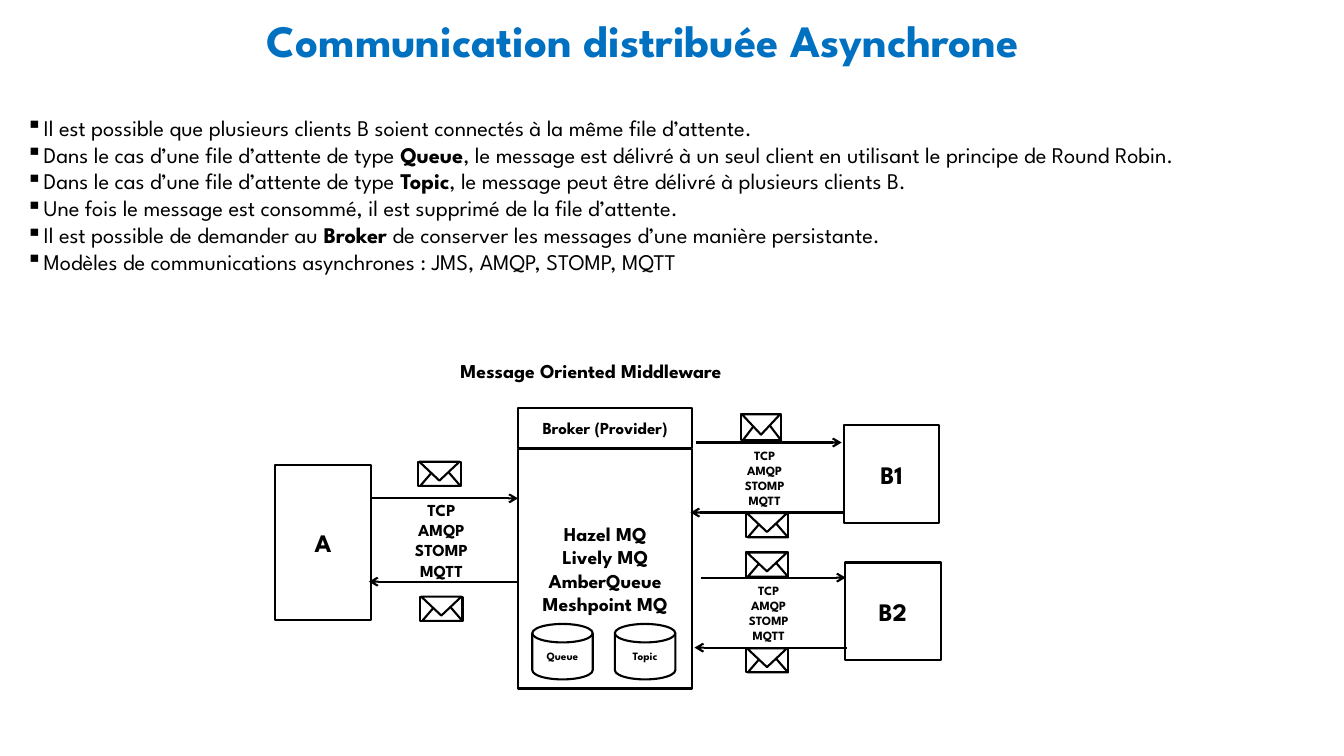
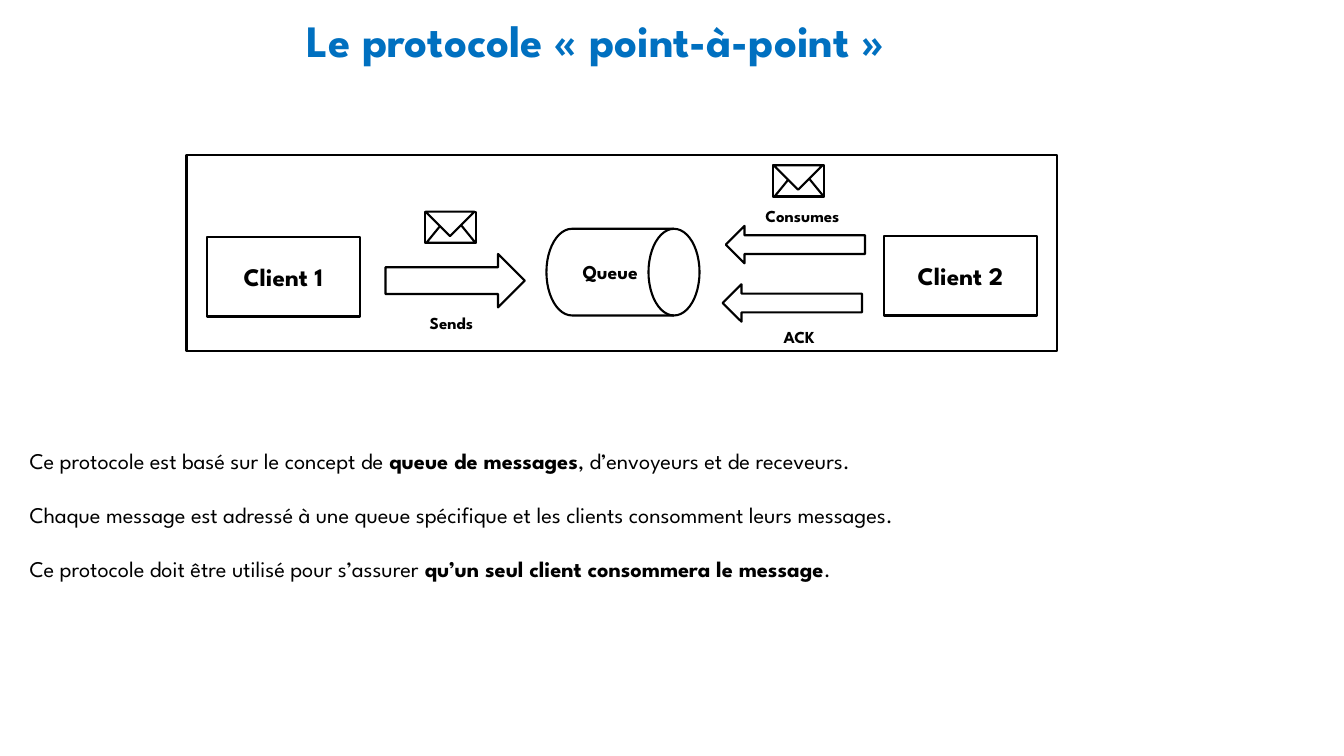
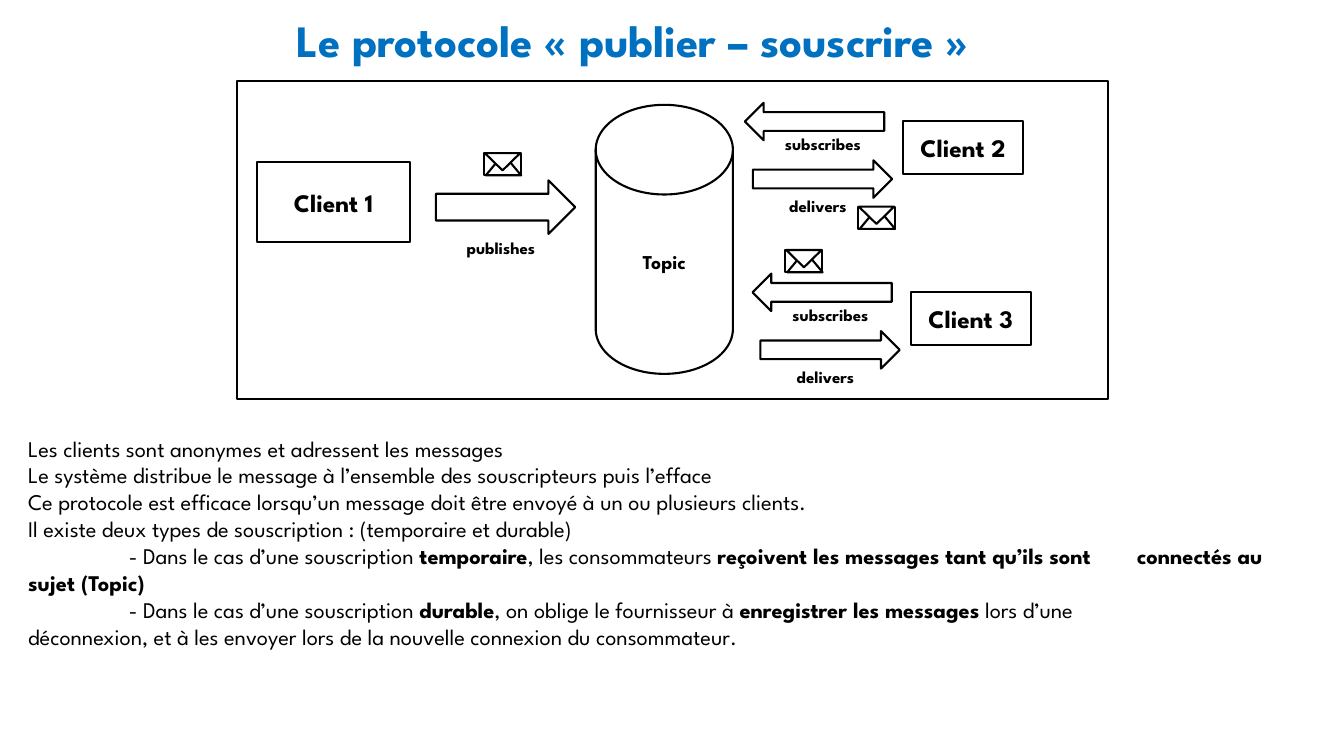
from lxml.etree import SubElement
from pptx import Presentation
from pptx.dml.color import RGBColor
from pptx.enum.shapes import MSO_CONNECTOR, MSO_SHAPE
from pptx.enum.text import MSO_ANCHOR, PP_ALIGN
from pptx.oxml.ns import qn
from pptx.util import Pt

BLACK = RGBColor(0, 0, 0)
WHITE = RGBColor(255, 255, 255)
BLUE = RGBColor(0, 112, 192)

FONT = "League Spartan"
LINE = Pt(1.5)
TITLE = {"size": Pt(32), "bold": True}
BODY = {"size": Pt(16), "bold": False}
WIRE = ["TCP", "AMQP", "STOMP", "MQTT"]


def bold(size):
    return {"size": Pt(size), "bold": True}


def write(para, text, form, color=BLACK):
    """Fill a paragraph; ** toggles bold and a newline breaks the line."""
    for part, chunk in enumerate(text.split("**")):
        for row, piece in enumerate(chunk.split("\n")):
            if row:
                para.add_line_break()
            if not piece:
                continue
            run = para.add_run()
            run.text = piece
            values = {"name": FONT, **form}
            values["bold"] = form["bold"] or part % 2 == 1
            for key, value in values.items():
                setattr(run.font, key, value)
            run.font.color.rgb = color


def fill_frame(frame, lines, form, color=BLACK, align=None):
    for pos, line in enumerate(lines):
        para = frame.add_paragraph() if pos else frame.paragraphs[0]
        para.alignment = align
        write(para, line, form, color)


def add_text(shapes, left, top, width, lines, form, color=BLACK, align=None, wrap=True):
    """Add a text box as high as its lines need."""
    height = 7 + len(lines) * form["size"].pt * 1.2
    box = shapes.add_textbox(Pt(left), Pt(top), Pt(width), Pt(height))
    box.text_frame.word_wrap = wrap
    fill_frame(box.text_frame, lines, form, color, align)
    return box.text_frame.paragraphs


def label(shapes, left, top, width, lines, size=12):
    add_text(shapes, left, top, width, lines, bold(size), align=PP_ALIGN.CENTER, wrap=False)


def indent(para, margin, first):
    props = para._p.get_or_add_pPr()
    props.set("marL", str(Pt(margin)))
    props.set("indent", str(Pt(first)))
    return props


def shape(shapes, kind, left, top, width, height, lines=(), size=18, turn=0, fill=None):
    item = shapes.add_shape(kind, Pt(left), Pt(top), Pt(width), Pt(height))
    item.shadow.inherit = False
    item.rotation = turn
    if fill is None:
        item.fill.background()
    else:
        item.fill.solid()
        item.fill.fore_color.rgb = fill
    item.line.color.rgb = BLACK
    item.line.width = LINE
    item.text_frame.vertical_anchor = MSO_ANCHOR.MIDDLE
    fill_frame(item.text_frame, lines, bold(size), align=PP_ALIGN.CENTER)
    return item


def box(shapes, left, top, width, height, lines, size=18):
    return shape(shapes, MSO_SHAPE.RECTANGLE, left, top, width, height, lines, size)


def frame(shapes, left, top, width, height):
    shape(shapes, MSO_SHAPE.FLOWCHART_PROCESS, left, top, width, height)


def disk(shapes, left, top, width, height, name, size, turn=0):
    return shape(shapes, MSO_SHAPE.FLOWCHART_MAGNETIC_DISK,
                 left, top, width, height, [name], size, turn)


def block(shapes, left, top, height=26.8, turn=0):
    """Add a block arrow; a turn of 180 points it left."""
    shape(shapes, MSO_SHAPE.RIGHT_ARROW, left, top, 99.5, height, turn=turn)


def letter(shapes, left, top, width, height):
    """Add an envelope: body, lower folds and white flap."""
    parts = shapes.add_group_shape().shapes
    tri = MSO_SHAPE.ISOSCELES_TRIANGLE
    frame(parts, left, top, width, height)
    shape(parts, tri, left + 1.4, top + 0.7, width * 0.95, height * 0.96)
    shape(parts, tri, left + 0.7, top, width * 0.95, height * 0.78, turn=180, fill=WHITE)


def arrow(shapes, start, end, level):
    line = shapes.add_connector(MSO_CONNECTOR.STRAIGHT, Pt(start), Pt(level), Pt(end), Pt(level))
    line.line.color.rgb = BLACK
    line.line.width = LINE
    SubElement(line.line._get_or_add_ln(), qn("a:tailEnd"), type="arrow")
    SubElement(line._element.spPr, qn("a:effectLst"))


def start(deck, left, title):
    """Add a blank slide with its title and return its shapes."""
    shapes = deck.slides.add_slide(deck.slide_layouts[6]).shapes
    add_text(shapes, left, 5.8, 627, [title], TITLE, BLUE)
    return shapes


def broker(deck):
    shapes = start(deck, 183.6, "Communication distribuée Asynchrone")
    paras = add_text(shapes, 11.5, 77.8, 948, [
        "Il est possible que plusieurs clients B soient connectés à la même file d’attente.",
        "Dans le cas d’une file d’attente de type **Queue**, le message est délivré à un seul "
        "client en utilisant le principe de Round Robin.",
        "Dans le cas d’une file d’attente de type **Topic**, le message peut être délivré à "
        "plusieurs clients B.",
        "Une fois le message est consommé, il est supprimé de la file d’attente.",
        "Il est possible de demander au **Broker** de conserver les messages d’une manière "
        "persistante.",
        "Modèles de communications asynchrones : JMS, AMQP, STOMP, MQTT",
    ], BODY)
    for para in paras:
        props = indent(para, 12.6, -12.6)
        SubElement(props, qn("a:buChar"), char="▪")

    add_text(shapes, 321.8, 252.7, 226, ["Message Oriented Middleware"], bold(14))
    box(shapes, 196.6, 331.9, 68.4, 110.9, ["A"])
    box(shapes, 370, 320.4, 124.6, 171.4,
        ["Hazel MQ", "Lively MQ", "AmberQueue", "Meshpoint MQ"], 14)
    box(shapes, 370, 291.6, 124.6, 28.4, ["Broker (Provider)"], 12)
    for left, name in ((380.2, "Queue"), (439.2, "Topic")):
        disk(shapes, left, 445.7, 43.2, 39.6, name, 8)

    arrow(shapes, 265, 370, 356)
    arrow(shapes, 370, 263.5, 415.5)
    label(shapes, 288, 353.5, 54.7, WIRE)
    letter(shapes, 298.8, 329.8, 30.2, 17.3)
    letter(shapes, 300.2, 426.2, 30.2, 17.3)

    for name, right, down, top, mail in (
        ("B1", 0, 0, 303.8, (529.2, 295.9, 28.8, 18.7)),
        ("B2", 2.9, 96.5, 401.8, (532.8, 394.6, 30.2, 17.3)),
    ):
        box(shapes, 602.6 + right / 3, top, 68.4, 69.8, [name])
        arrow(shapes, 497.5 + right, 601.2 + right, 316.1 + down)
        arrow(shapes, 601.9 + right, 493.2 + right, 366.1 + down)
        label(shapes, 524.2 + right, 316.1 + down, 43.9, WIRE, 9)
        letter(shapes, *mail)
        letter(shapes, 532.8, 366.5 + down, 30.2, 17.3)


def point(deck):
    shapes = start(deck, 211.6, "Le protocole « point-à-point »")
    paras = add_text(shapes, 14, 316.1, 934.6, [
        "Ce protocole est basé sur le concept de **queue de messages**, d’envoyeurs et de "
        "receveurs.",
        "Chaque message est adressé à une queue spécifique et les clients consomment leurs "
        "messages.",
        "Ce protocole doit être utilisé pour s’assurer **qu’un seul client consommera le "
        "message**.",
    ], BODY)
    for para in paras:
        para.space_after = Pt(19.3)

    frame(shapes, 133.2, 110.9, 622, 139.7)
    box(shapes, 147.6, 169.2, 109.4, 56.9, ["Client 1"])
    box(shapes, 631.4, 168.5, 109.4, 56.9, ["Client 2"])
    queue = disk(shapes, 414, 139.7, 61.9, 109.4, "Queue", 14, turn=90)
    queue._element.txBody.find(qn("a:bodyPr")).set("vert", "vert270")
    block(shapes, 275.4, 181.4, 38.2)
    block(shapes, 518.4, 161.3, turn=180)
    block(shapes, 516.2, 203, turn=180)
    letter(shapes, 303.3, 151.2, 36.7, 22.3)
    letter(shapes, 552, 118.1, 36.7, 22.3)
    label(shapes, 298, 219.6, 49, ["Sends"])
    label(shapes, 550.8, 229.7, 40.3, ["ACK"])
    label(shapes, 535, 143.3, 76.3, ["Consumes"])


def topic(deck):
    shapes = start(deck, 204.5, "Le protocole « publier – souscrire »")
    paras = add_text(shapes, 13, 306.9, 934.6, [
        "Les clients sont anonymes et adressent les messages",
        "Le système distribue le message à l’ensemble des souscripteurs puis l’efface",
        "Ce protocole est efficace lorsqu’un message doit être envoyé à un ou plusieurs clients.",
        "Il existe deux types de souscription : (temporaire et durable)",
        "- Dans le cas d’une souscription **temporaire**, les consommateurs **reçoivent les "
        "messages tant qu’ils sont\tconnectés au\nsujet (Topic)**",
        "- Dans le cas d’une souscription **durable**, on oblige le fournisseur à **enregistrer "
        "les messages** lors d’une\ndéconnexion, et à les envoyer lors de la nouvelle connexion "
        "du consommateur.",
    ], BODY)
    for para in paras[4:]:
        indent(para, 0, 72)

    frame(shapes, 169.2, 57.6, 622, 227.5)
    box(shapes, 183.6, 115.9, 109.4, 56.9, ["Client 1"])
    disk(shapes, 425.5, 74.9, 98, 192.2, "Topic", 14)
    block(shapes, 311.4, 128.9, 38.2)
    label(shapes, 323.3, 166.3, 69, ["publishes"])
    for name, right, down in (("Client 2", 0, 0), ("Client 3", 5.4, 122)):
        box(shapes, 645.1 + right, 86.4 + down, 85.7, 38.2, [name])
        block(shapes, 532.1 + right, 73.4 + down, turn=180)
        block(shapes, 537.8 + right, 114.5 + down)
        label(shapes, 550 + right, 92.2 + down, 75.6, ["subscribes"])
        label(shapes, 554.4 + right, 136.1 + down, 59.8, ["delivers"])
    for left, top in ((345.6, 109.4), (612.7, 147.6), (560.9, 178.6)):
        letter(shapes, left, top, 26.6, 15.8)


def main():
    deck = Presentation()
    deck.slide_width, deck.slide_height = Pt(960), Pt(540)
    broker(deck)
    point(deck)
    topic(deck)
    deck.save("out.pptx")


if __name__ == "__main__":
    main()
